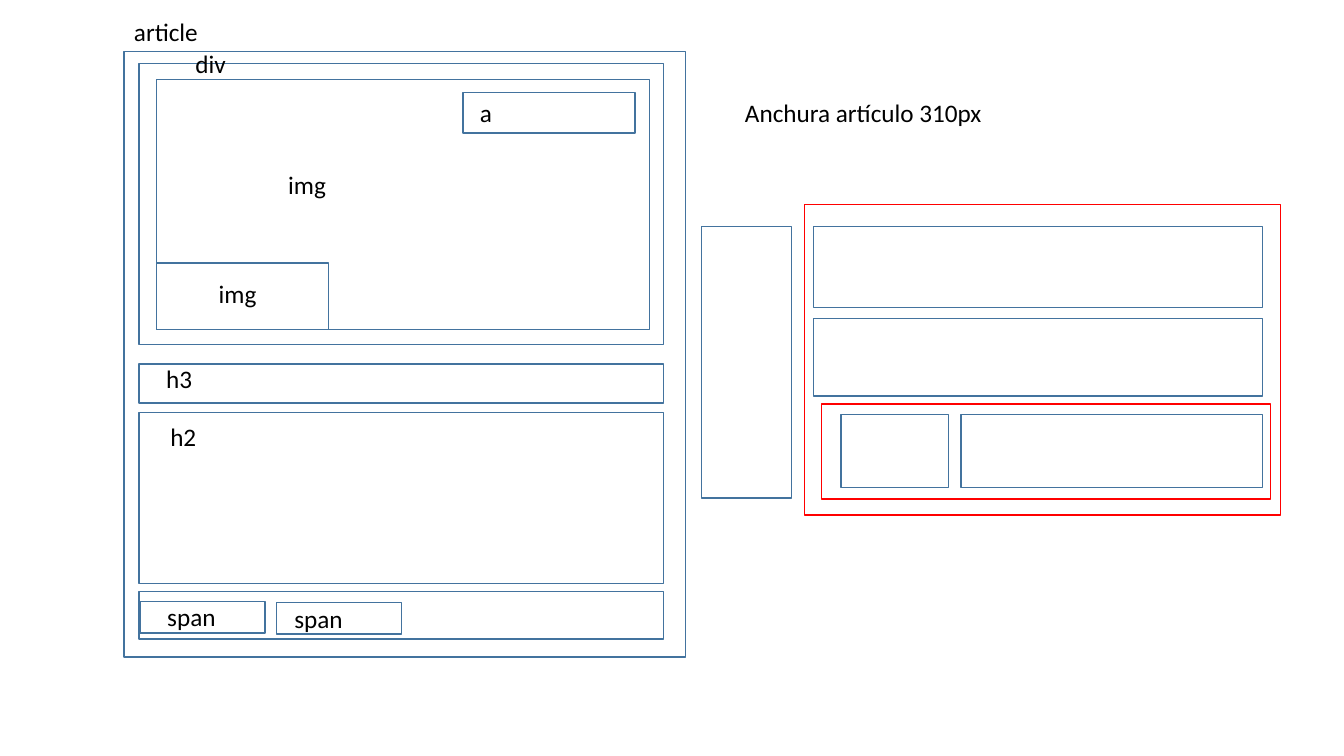
from pptx import Presentation
from pptx.dml.color import RGBColor
from pptx.enum.shapes import MSO_SHAPE
from pptx.enum.text import MSO_AUTO_SIZE
from pptx.util import Emu, Pt

RECT = MSO_SHAPE.RECTANGLE
GROW = MSO_AUTO_SIZE.SHAPE_TO_FIT_TEXT
BLUE = RGBColor(0x43, 0x73, 0x9E)
RED = RGBColor(0xFF, 0x00, 0x00)
BLACK = RGBColor(0x00, 0x00, 0x00)

PX = 9144  # EMU per px, 100 px to the inch
SLIDE_W, SLIDE_H = 1333, 750
LABEL_W, LABEL_H = 92, 40
LABEL_FONT = {"name": "Calibri", "size": Pt(18)}

# Article card: rows share one left edge and width
ROW_X, ROW_W = 138, 520
ROWS = [(63, 279), (361, 39), (409, 170), (587, 47)]  # top, height
TAG_W = 171
SPAN_W, SPAN_H = 124, 31
CARD_PARTS = [
    (123, 51, 557, 601),         # article
    (155, 79, 489, 248),         # main img
    (155, 261, TAG_W, 66),       # small img
    (459, 92, TAG_W, 40),        # a
    (139, 597, SPAN_W, SPAN_H),
    (274, 598, SPAN_W, SPAN_H),
]

# Side layout: everything blue ends on the same right edge
SIDE_RIGHT = 1252
SIDE_PARTS = [  # left, top, height
    (807, 225, 80),
    (807, 316, 77),
    (834, 411, 73),
    (953, 411, 73),
]
SIDE_COLUMN = (696, 225, 89, 269)
RED_FRAMES = [(798, 203, 472, 308), (815, 401, 445, 94)]

LABELS = [  # text, left, top
    ("article", 123, 11),
    ("div", 184, 43),
    ("img", 276, 163),
    ("h3", 155, 356),
    ("h2", 159, 413),
    ("span", 156, 592),
    ("span", 282, 594),
    ("a", 466, 92),
    ("img", 207, 271),
]
WIDTH_NOTE = ("Anchura artículo 310px", 729, 92, 468)


def px(*values):
    return [Emu(v * PX) for v in values]


def add_outline(s, box, color):
    sp = s.shapes.add_shape(RECT, *px(*box))
    sp.shadow.inherit = False
    sp.fill.background()
    sp.line.color.rgb = color
    sp.line.width = Pt(1)


def add_label(s, text, x, y, w=LABEL_W):
    tf = s.shapes.add_textbox(*px(x, y, w, LABEL_H)).text_frame
    tf.word_wrap = True
    tf.auto_size = GROW
    r = tf.paragraphs[0].add_run()
    r.text = text
    for name, value in LABEL_FONT.items():
        setattr(r.font, name, value)
    r.font.color.rgb = BLACK


def main():
    prs = Presentation()
    prs.slide_width, prs.slide_height = px(SLIDE_W, SLIDE_H)
    s = prs.slides.add_slide(prs.slide_layouts[6])

    rows = [(ROW_X, y, ROW_W, h) for y, h in ROWS]
    side = [(x, y, SIDE_RIGHT - x, h) for x, y, h in SIDE_PARTS]
    # The third side box is narrow: it stops short of the fourth
    gap = 12
    x, y, _, h = side[2]
    side[2] = (x, y, side[3][0] - gap - x, h)

    for box in CARD_PARTS + rows + side + [SIDE_COLUMN]:
        add_outline(s, box, BLUE)
    for box in RED_FRAMES:
        add_outline(s, box, RED)
    for label in LABELS + [WIDTH_NOTE]:
        add_label(s, *label)

    prs.save("out.pptx")


if __name__ == "__main__":
    main()
